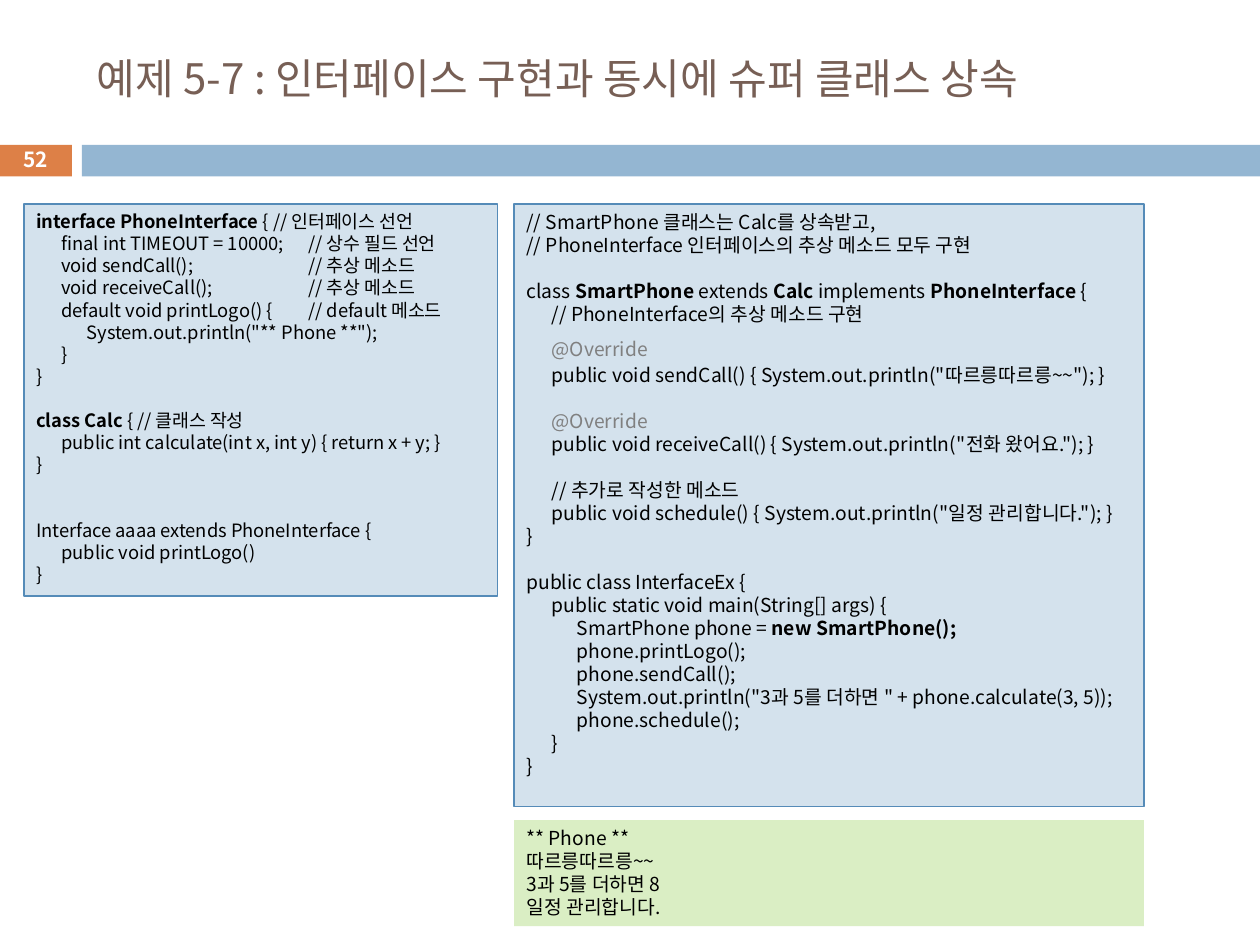
from dataclasses import dataclass

from lxml import etree
from pptx import Presentation
from pptx.dml.color import RGBColor
from pptx.enum.shapes import MSO_SHAPE
from pptx.enum.text import MSO_ANCHOR, PP_ALIGN
from pptx.oxml.ns import qn
from pptx.util import Inches, Pt

RECTANGLE = MSO_SHAPE.RECTANGLE
TOP, MIDDLE = MSO_ANCHOR.TOP, MSO_ANCHOR.MIDDLE
LEFT, CENTER = PP_ALIGN.LEFT, PP_ALIGN.CENTER
FONT = "Noto Sans CJK KR"
COLORS = {
    "orange": "DD8047",
    "bar": "94B6D2",
    "title": "775F55",
    "code": "D4E2ED",
    "border": "558BB8",
    "output": "DAEEC4",
    "annotation": "808080",
    "black": "000000",
    "white": "FFFFFF",
}
TAB_STOPS = (0.2, 0.4, 2.16)


@dataclass(frozen=True)
class Run:
    text: str
    bold: bool = False
    color: str = "black"


@dataclass(frozen=True)
class Line:
    runs: tuple[Run, ...]
    before: float = 0
    after: float = 0


@dataclass(frozen=True)
class Box:
    left: float
    top: float
    width: float
    height: float
    lines: tuple[Line, ...] = ()
    fill: str | None = None
    border: str | None = None
    size: float = 11
    pitch: float | None = None
    anchor: MSO_ANCHOR = TOP
    align: PP_ALIGN = LEFT


def line(*parts: str | Run, before: float = 0, after: float = 0) -> Line:
    """Make a line from plain strings and styled runs."""
    runs = tuple(Run(part) if isinstance(part, str) else part for part in parts)
    return Line(runs, before, after)


def bold(text: str) -> Run:
    """Make a bold run."""
    return Run(text, bold=True)


def rgb(name: str) -> RGBColor:
    """Look up a named colour."""
    return RGBColor.from_string(COLORS[name])


def add_run(paragraph, run: Run, size: float) -> None:
    """Append a run in the slide font."""
    text_run = paragraph.add_run()
    text_run.text = run.text
    font = text_run.font
    formats = {"name": FONT, "size": Pt(size), "bold": run.bold}
    for name, value in formats.items():
        setattr(font, name, value)
    font.color.rgb = rgb(run.color)
    properties = text_run._r.get_or_add_rPr()
    etree.SubElement(properties, qn("a:ea")).set("typeface", FONT)


def add_tab_stops(paragraph) -> None:
    """Give a paragraph the code indents and the comment column."""
    tab_list = etree.SubElement(paragraph._p.get_or_add_pPr(), qn("a:tabLst"))
    for position in TAB_STOPS:
        tab = etree.SubElement(tab_list, qn("a:tab"))
        tab.set("pos", str(Inches(position)))
        tab.set("algn", "l")


def add_box(slide, box: Box) -> None:
    """Draw a filled rectangle or plain text box with its lines."""
    place = [Inches(n) for n in (box.left, box.top, box.width, box.height)]
    if box.fill:
        shape = slide.shapes.add_shape(RECTANGLE, *place)
        shape.shadow.inherit = False
        shape.fill.solid()
        shape.fill.fore_color.rgb = rgb(box.fill)
        if box.border:
            shape.line.color.rgb = rgb(box.border)
            shape.line.width = Pt(0.75)
        else:
            shape.line.fill.background()
    else:
        shape = slide.shapes.add_textbox(*place)
    frame = shape.text_frame
    frame.word_wrap = True
    frame.vertical_anchor = box.anchor
    for index, content in enumerate(box.lines):
        paragraph = frame.add_paragraph() if index else frame.paragraphs[0]
        if any("\t" in run.text for run in content.runs):
            add_tab_stops(paragraph)
        formats = {
            "alignment": box.align,
            "line_spacing": Pt(box.pitch) if box.pitch else None,
            "space_before": Pt(content.before),
            "space_after": Pt(content.after),
        }
        for name, value in formats.items():
            setattr(paragraph, name, value)
        for run in content.runs:
            add_run(paragraph, run, box.size)


SMALL_PITCH, PITCH = 12.6, 13.15
OVERRIDE = Run("@Override", color="annotation")

INTERFACE_CODE = (
    line(bold("interface PhoneInterface "), "{ // 인터페이스 선언"),
    line("\tfinal int TIMEOUT = 10000;\t// 상수 필드 선언"),
    line("\tvoid sendCall();\t// 추상 메소드"),
    line("\tvoid receiveCall();\t// 추상 메소드"),
    line("\tdefault void printLogo() {\t// default 메소드"),
    line("\t\tSystem.out.println(\"** Phone **\");"),
    line("\t}"),
    line("}"),
    line(bold("class Calc "), "{ // 클래스 작성", before=SMALL_PITCH),
    line("\tpublic int calculate(int x, int y) { return x + y; }"),
    line("}"),
    line("Interface aaaa extends PhoneInterface {", before=2 * SMALL_PITCH),
    line("\tpublic void printLogo()"),
    line("}"),
)
CLASS_CODE = (
    line("// SmartPhone 클래스는 Calc를 상속받고,"),
    line("// PhoneInterface 인터페이스의 추상 메소드 모두 구현"),
    line("class ", bold("SmartPhone"), " extends ", bold("Calc"),
         " implements ", bold("PhoneInterface"), " {", before=PITCH),
    line("\t// PhoneInterface의 추상 메소드 구현"),
    line("\t", OVERRIDE, before=7, after=1.5),
    line("\tpublic void sendCall() { System.out.println(\"따르릉따르릉~~\"); }"),
    line("\t", OVERRIDE, before=PITCH),
    line("\tpublic void receiveCall() { System.out.println(\"전화 왔어요.\"); }"),
    line("\t// 추가로 작성한 메소드", before=PITCH),
    line("\tpublic void schedule() { System.out.println(\"일정 관리합니다.\"); }"),
    line("}"),
    line("public class InterfaceEx {", before=PITCH),
    line("\tpublic static void main(String[] args) {"),
    line("\t\tSmartPhone phone = ", bold("new SmartPhone();")),
    line("\t\tphone.printLogo();"),
    line("\t\tphone.sendCall();"),
    line("\t\tSystem.out.println(\"3과 5를 더하면 \" + phone.calculate(3, 5));"),
    line("\t\tphone.schedule();"),
    line("\t}"),
    line("}"),
)
OUTPUT = tuple(line(text) for text in (
    "** Phone **", "따르릉따르릉~~", "3과 5를 더하면 8", "일정 관리합니다."))
TITLE = line(Run("예제 5-7 : 인터페이스 구현과 동시에 슈퍼 클래스 상속", color="title"))
NUMBER = line(Run("52", bold=True, color="white"))

BOXES = (
    Box(-0.01, 1.15, 0.58, 0.25, fill="orange"),
    Box(0.65, 1.15, 9.35, 0.25, fill="bar"),
    Box(0.67, 0.25, 8.92, 0.74, (TITLE,), size=24, anchor=MIDDLE),
    Box(-0.01, 1.13, 0.58, 0.27, (NUMBER,), size=11.9, anchor=MIDDLE, align=CENTER),
    Box(0.19, 1.62, 3.76, 3.11, INTERFACE_CODE, "code", "border", 10.5, SMALL_PITCH),
    Box(4.08, 1.62, 5, 4.78, CLASS_CODE, "code", "border", pitch=PITCH),
    Box(4.08, 6.51, 5, 0.84, OUTPUT, "output", pitch=PITCH),
)


def main() -> None:
    """Build and save the slide."""
    presentation = Presentation()
    presentation.slide_width = Inches(10)
    presentation.slide_height = Inches(7.5)
    slide = presentation.slides.add_slide(presentation.slide_layouts[6])
    for box in BOXES:
        add_box(slide, box)
    presentation.save("out.pptx")


if __name__ == "__main__":
    main()
